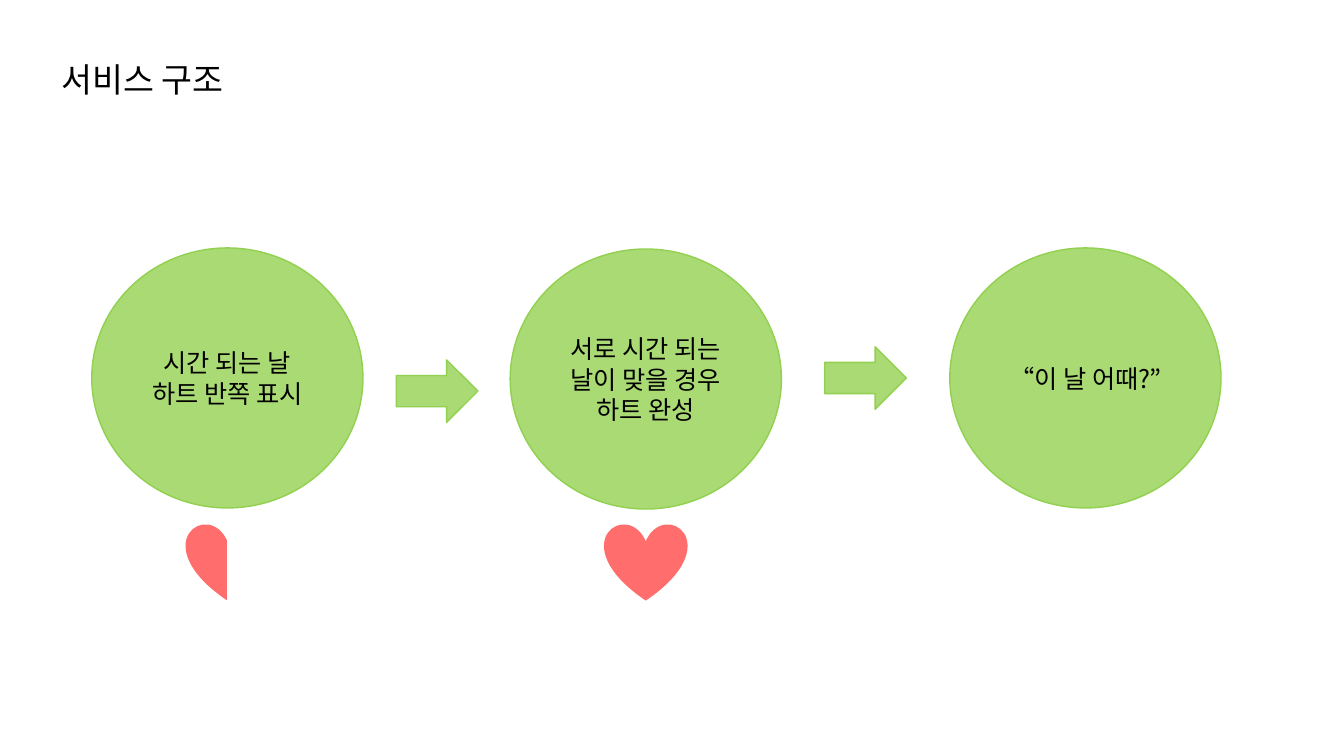
import dataclasses

import lxml.etree
import pptx
import pptx.dml.color
import pptx.enum.shapes
import pptx.enum.text
import pptx.oxml.ns
import pptx.util

EMU_PER_PX = 9144  # 100 px to the inch
SHAPES = pptx.enum.shapes.MSO_SHAPE
ALIGN = pptx.enum.text.PP_ALIGN


@dataclasses.dataclass(frozen=True)
class Theme:
    font: str = "Noto Sans CJK KR"
    title_size: int = 24
    step_size: int = 18
    line_width: int = 1
    text: str = "000000"
    green: str = "A9DA74"
    green_line: str = "92D050"
    heart: str = "FF6D6D"
    background: str = "FFFFFF"


THEME = Theme()


def px(length):
    return pptx.util.Emu(length * EMU_PER_PX)


def rgb(value):
    return pptx.dml.color.RGBColor.from_string(value)


def write_paragraphs(frame, lines, size, align):
    frame.word_wrap = True
    for index, line in enumerate(lines):
        para = frame.paragraphs[0] if index == 0 else frame.add_paragraph()
        para.text = line
        para.alignment = align
        para.font.size = pptx.util.Pt(size)
        para.font.color.rgb = rgb(THEME.text)
        para.font.name = THEME.font
        # Korean letters take the East Asian typeface
        east_asian = lxml.etree.SubElement(para.font._element, pptx.oxml.ns.qn("a:ea"))
        east_asian.set("typeface", THEME.font)


def add_title(page, text):
    box = page.shapes.add_textbox(px(51), px(54), px(342), px(50))
    write_paragraphs(box.text_frame, [text], THEME.title_size, ALIGN.LEFT)


def add_figure(page, kind, left, top, width, height, fill, line):
    figure = page.shapes.add_shape(kind, px(left), px(top), px(width), px(height))
    figure.shadow.inherit = False
    figure.fill.solid()
    figure.fill.fore_color.rgb = rgb(fill)
    figure.line.color.rgb = rgb(line)
    figure.line.width = pptx.util.Pt(THEME.line_width)
    return figure


def add_step(page, left, top, lines):
    circle = add_figure(page, SHAPES.OVAL, left, top, 269, 258,
                        THEME.green, THEME.green_line)
    circle.text_frame.vertical_anchor = pptx.enum.text.MSO_ANCHOR.MIDDLE
    write_paragraphs(circle.text_frame, lines, THEME.step_size, ALIGN.CENTER)


def add_arrow(page, left, top):
    add_figure(page, SHAPES.RIGHT_ARROW, left, top, 81, 62,
               THEME.green, THEME.green_line)


def add_heart(page, left, half=False):
    top = 520
    add_figure(page, SHAPES.HEART, left, top, 81, 75, THEME.heart, THEME.heart)
    if half:
        add_figure(page, SHAPES.RECTANGLE, left + 41, top, 100, 100,
                   THEME.background, THEME.background)


def main():
    deck = pptx.Presentation()
    deck.slide_width, deck.slide_height = px(1333), px(750)
    page = deck.slides.add_slide(deck.slide_layouts[6])

    add_title(page, "서비스 구조")

    # Steps of the service
    add_step(page, 91, 246, ["시간 되는 날 하트 반쪽 표시"])
    add_step(page, 506, 247, ["서로 시간 되는 날이 맞을 경우", "하트 완성"])
    add_step(page, 942, 246, ["“이 날 어때?”"])

    # Arrows between the steps
    add_arrow(page, 393, 357)
    add_arrow(page, 818, 344)

    # Half and whole heart below the first two steps
    add_heart(page, 185, half=True)
    add_heart(page, 600)

    deck.save("out.pptx")


if __name__ == "__main__":
    main()
